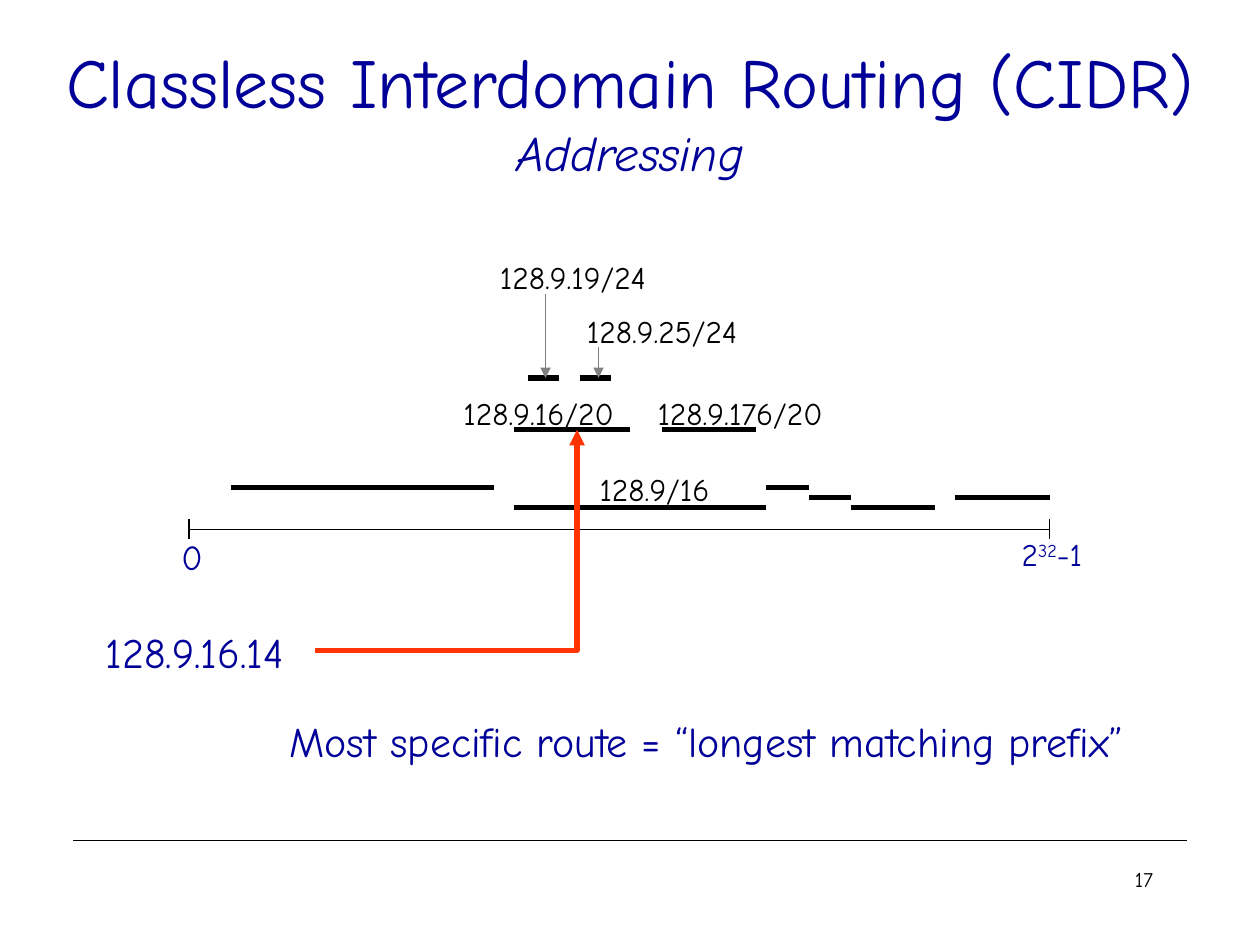
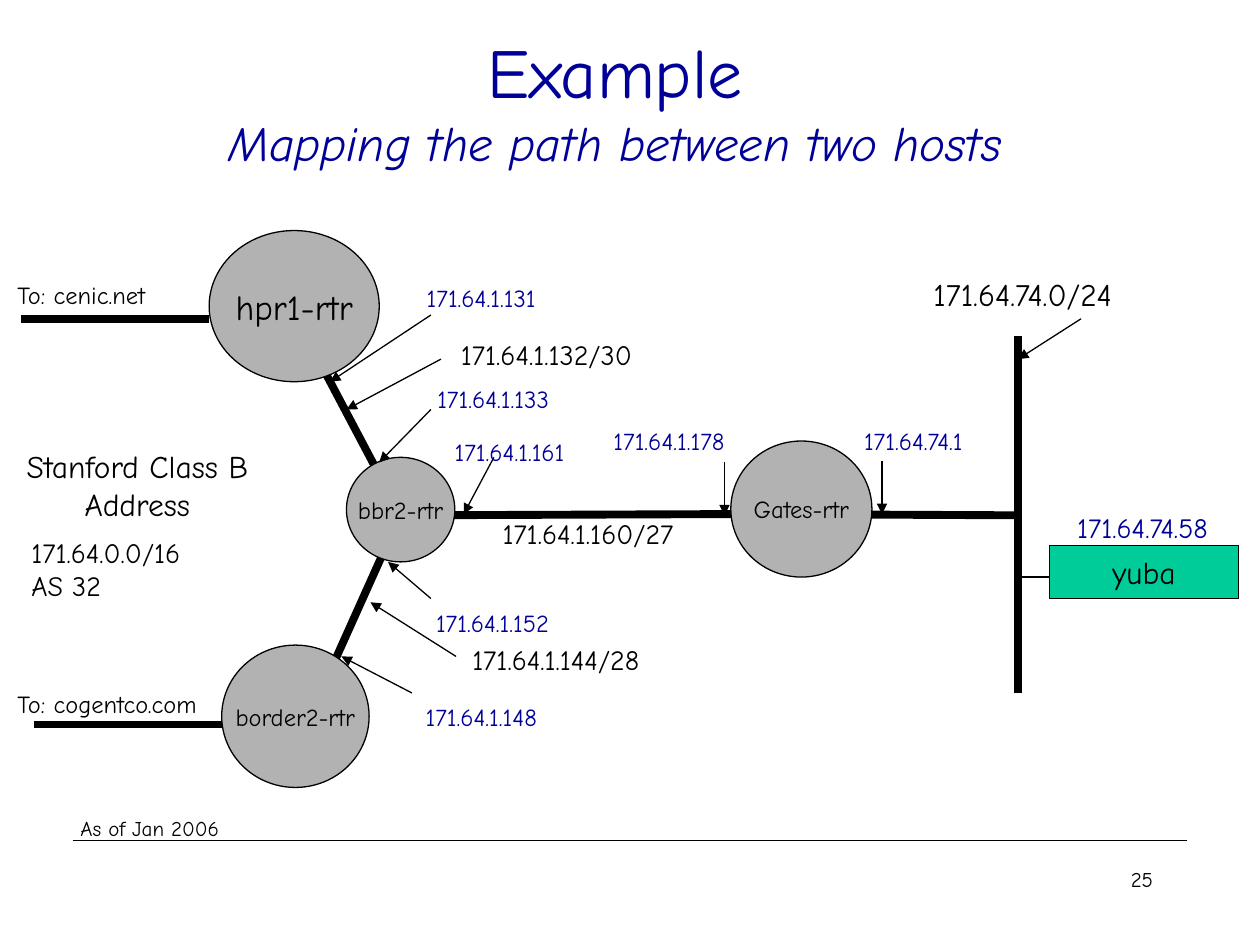
from copy import deepcopy

from lxml import etree
from pptx import Presentation
from pptx import util as u
from pptx.dml.color import RGBColor
from pptx.enum import shapes, text
from pptx.oxml.ns import qn

PX = 9144  # EMU in one px, 100 px to the inch
FONT = "Comic Neue"
NAVY = RGBColor(0x00, 0x00, 0x99)
BLACK = RGBColor(0x00, 0x00, 0x00)
GRAY = RGBColor(0x80, 0x80, 0x80)
ROUTER_GRAY = RGBColor(0xB2, 0xB2, 0xB2)
HOST_GREEN = RGBColor(0x00, 0xCC, 0x99)
ROUTE_RED = RGBColor(0xFF, 0x33, 0x00)
LEFT, CENTER, RIGHT = text.PP_ALIGN.LEFT, text.PP_ALIGN.CENTER, text.PP_ALIGN.RIGHT
LINE_HEIGHT = {12: 30, 14: 34, 16: 37, 18: 40, 20: 44, 24: 50}  # box height by text size
SLACK = 4  # extra width that keeps a one-line label on its line

# Slide 1: address ranges as (first x, last x, y)
CIDR_TITLE = ("Classless Interdomain Routing (CIDR)", "Addressing", (0, 25, 1000, 125))
AXIS_START, AXIS_END, AXIS_Y, TICK = 150, 833, 420, 8
PREFIX_RANGES = [
    (183, 392, 387), (408, 608, 403), (608, 642, 387), (642, 675, 395),
    (675, 742, 403), (758, 833, 395),
    (408, 500, 341), (525, 600, 341),
    (419, 444, 300), (460, 485, 300),
]
PREFIX_POINTERS = [(433, 233), (475, 275)]
POINTER_END = 300
# Labels are (text, left, top, width, size, colour)
CIDR_LABELS = [
    ("0", 134, 420, 37, 20, NAVY),
    ("128.9/16", 466, 368, 107, 18, BLACK),
    ("128.9.16/20", 358, 308, 139, 18, BLACK),
    ("128.9.176/20", 512, 308, 151, 18, BLACK),
    ("128.9.19/24", 387, 200, 136, 18, BLACK),
    ("128.9.25/24", 456, 243, 139, 18, BLACK),
    ("128.9.16.14", 74, 492, 161, 24, NAVY),
    ("Most specific route = “longest matching prefix”", 220, 563, 684, 24, NAVY),
]
LAST_ADDRESS = [("2", None), ("32", "30000"), ("-1", None)]
MATCH_ROUTE = [(250, 516), (458, 516), (458, 341)]

# Slide 2: links and pointers as (x1, y1, x2, y2)
MAP_TITLE = ("Example", "Mapping the path between two hosts", (17, 17, 942, 125))
LINKS = [
    (243, 267, 318, 409), (243, 575, 318, 408), (327, 409, 581, 408),
    (603, 408, 808, 409), (808, 267, 808, 550),
    (17, 253, 166, 253), (27, 575, 176, 575),
]
HOST_LINK = (808, 458, 858, 458)
# Nodes are (text, shape, box, size, fill)
OVAL, BOX = shapes.MSO_SHAPE.OVAL, shapes.MSO_SHAPE.RECTANGLE
NODES = [
    ("Gates-rtr", OVAL, (580, 350, 112, 108), 14, ROUTER_GRAY),
    ("border2-rtr", OVAL, (176, 512, 117, 113), 14, ROUTER_GRAY),
    ("hpr1-rtr", OVAL, (166, 183, 135, 120), 20, ROUTER_GRAY),
    ("bbr2-rtr", OVAL, (275, 363, 86, 83), 14, ROUTER_GRAY),
    ("yuba", BOX, (833, 433, 150, 42), 18, HOST_GREEN),
]
POINTERS = [
    (858, 253, 808, 285), (342, 250, 262, 303), (392, 363, 368, 408),
    (342, 475, 308, 446), (327, 550, 271, 521), (342, 325, 301, 367),
    (362, 521, 294, 478), (350, 285, 275, 325),
]
INTERFACE_POINTERS = [(700, 366, 700, 408), (575, 367, 575, 409)]
INTERFACES = [
    ("171.64.1.178", 477, 333, 108), ("171.64.1.161", 351, 342, 107),
    ("171.64.74.1", 675, 333, 100), ("171.64.1.131", 329, 220, 106),
    ("171.64.1.152", 336, 478, 110), ("171.64.1.148", 328, 552, 108),
    ("171.64.1.133", 337, 300, 109),
]
MAP_LABELS = [
    ("171.64.74.58", 845, 400, 125, 16, NAVY),
    ("171.64.74.0/24", 731, 213, 164, 18, BLACK),
    ("171.64.1.160/27", 389, 405, 156, 16, BLACK),
    ("171.64.1.144/28", 365, 505, 152, 16, BLACK),
    ("171.64.1.132/30", 356, 263, 155, 16, BLACK),
    ("To: cenic.net", 4, 217, 123, 14, BLACK),
    ("To: cogentco.com", 4, 542, 165, 14, BLACK),
    ("As of Jan 2006", 54, 642, 130, 12, BLACK),
]


def px(*lengths):
    return [u.Emu(length * PX) for length in lengths]


# Text
def add_run(paragraph, words, size, color, **extra):
    run = paragraph.add_run()
    run.text = words
    formats = {"name": FONT, "size": u.Pt(size), **extra}
    for name, value in formats.items():
        setattr(run.font, name, value)
    run.font.color.rgb = color
    return run


def add_label(slide, words, left, top, width, size, color, align=LEFT, wrap=False, height=None):
    """Place a text box; each line of words is a paragraph."""
    if not wrap:
        width += SLACK
        left -= SLACK // 2 if align == CENTER else 0
    box = slide.shapes.add_textbox(*px(left, top, width, height or LINE_HEIGHT[size]))
    frame = box.text_frame
    frame.word_wrap = wrap
    frame.auto_size = text.MSO_AUTO_SIZE.SHAPE_TO_FIT_TEXT
    for index, line in enumerate(words.split("\n")):
        paragraph = frame.add_paragraph() if index else frame.paragraphs[0]
        paragraph.alignment = align
        if line:
            add_run(paragraph, line, size, color)
    return frame.paragraphs[0]


# Lines and shapes
def add_arrowhead(shape):
    line = shape.line._get_or_add_ln()
    etree.SubElement(line, qn("a:tailEnd"), type="triangle")


def add_line(slide, x1, y1, x2, y2, width=0.75, color=BLACK, arrow=False):
    line = slide.shapes.add_connector(shapes.MSO_CONNECTOR.STRAIGHT, *px(x1, y1, x2, y2))
    line.line.color.rgb = color
    line.line.width = u.Pt(width)
    if arrow:
        add_arrowhead(line)
    etree.SubElement(line._element.spPr, qn("a:effectLst"))


def add_node(slide, name, kind, box, size, fill):
    node = slide.shapes.add_shape(kind, *px(*box))
    node.shadow.inherit = False
    node.fill.solid()
    node.fill.fore_color.rgb = fill
    node.line.color.rgb = BLACK
    node.line.width = u.Pt(0.75)
    frame = node.text_frame
    frame.word_wrap = False
    frame.vertical_anchor = text.MSO_ANCHOR.MIDDLE
    frame.paragraphs[0].alignment = CENTER
    add_run(frame.paragraphs[0], name, size, BLACK)


# Frame shared by the slides: title, footer rule, page number
def add_slide(presentation, heading, subheading, box, number):
    slide = presentation.slides.add_slide(presentation.slide_layouts[5])
    title = slide.shapes.title
    for name, value in zip(("left", "top", "width", "height"), px(*box)):
        setattr(title, name, value)
    frame = title.text_frame
    frame.auto_size = text.MSO_AUTO_SIZE.NONE
    frame.vertical_anchor = text.MSO_ANCHOR.MIDDLE
    paragraph = frame.paragraphs[0]
    paragraph.alignment = CENTER
    first = add_run(paragraph, heading, 40, NAVY)
    paragraph.add_line_break()
    # The line break takes the heading's size
    paragraph._p.find(qn("a:br")).append(deepcopy(first._r.rPr))
    add_run(paragraph, subheading, 28, NAVY, italic=True)
    add_line(slide, 58, 667, 942, 667)
    add_label(slide, number, 717, 683, 208, 12, BLACK, RIGHT, wrap=True)
    return slide


def build_cidr(presentation):
    slide = add_slide(presentation, *CIDR_TITLE, "17")
    # Address axis
    add_line(slide, AXIS_START, AXIS_Y, AXIS_END, AXIS_Y)
    for x in (AXIS_START, AXIS_END):
        add_line(slide, x, AXIS_Y - TICK, x, AXIS_Y + TICK)
    last_address = add_label(slide, "", 801, 420, 68, 18, NAVY)
    for words, baseline in LAST_ADDRESS:
        run = add_run(last_address, words, 18, NAVY)
        if baseline:
            run._r.get_or_add_rPr().set("baseline", baseline)
    # Prefixes
    for start, end, y in PREFIX_RANGES:
        add_line(slide, start, y, end, y, 3)
    for label in CIDR_LABELS:
        add_label(slide, *label)
    for x, top in PREFIX_POINTERS:
        add_line(slide, x, top, x, POINTER_END, color=GRAY, arrow=True)
    # Route to the longest match
    builder = slide.shapes.build_freeform(*MATCH_ROUTE[0], scale=PX)
    builder.add_line_segments(MATCH_ROUTE[1:], close=False)
    route = builder.convert_to_shape()
    route.shadow.inherit = False
    route.fill.background()
    route.line.color.rgb = ROUTE_RED
    route.line.width = u.Pt(3)
    add_arrowhead(route)


def build_map(presentation):
    slide = add_slide(presentation, *MAP_TITLE, "25")
    # Network
    for link in LINKS:
        add_line(slide, *link, 4.5)
    add_line(slide, *HOST_LINK)
    for node in NODES:
        add_node(slide, *node)
    # Pointers and addresses
    for pointer in POINTERS:
        add_line(slide, *pointer, arrow=True)
    for pointer in INTERFACE_POINTERS:
        add_line(slide, *pointer, 1, arrow=True)
    for interface in INTERFACES:
        add_label(slide, *interface, 14, NAVY, CENTER)
    for label in MAP_LABELS:
        add_label(slide, *label)
    add_label(slide, "Stanford Class B\nAddress", 10, 350, 198, 18, BLACK, CENTER, height=70)
    add_label(slide, "171.64.0.0/16\nAS 32", 15, 420, 175, 16, BLACK, wrap=True, height=64)


def main():
    presentation = Presentation()
    presentation.slide_width, presentation.slide_height = px(1000, 750)
    build_cidr(presentation)
    build_map(presentation)
    presentation.save("out.pptx")


if __name__ == "__main__":
    main()
